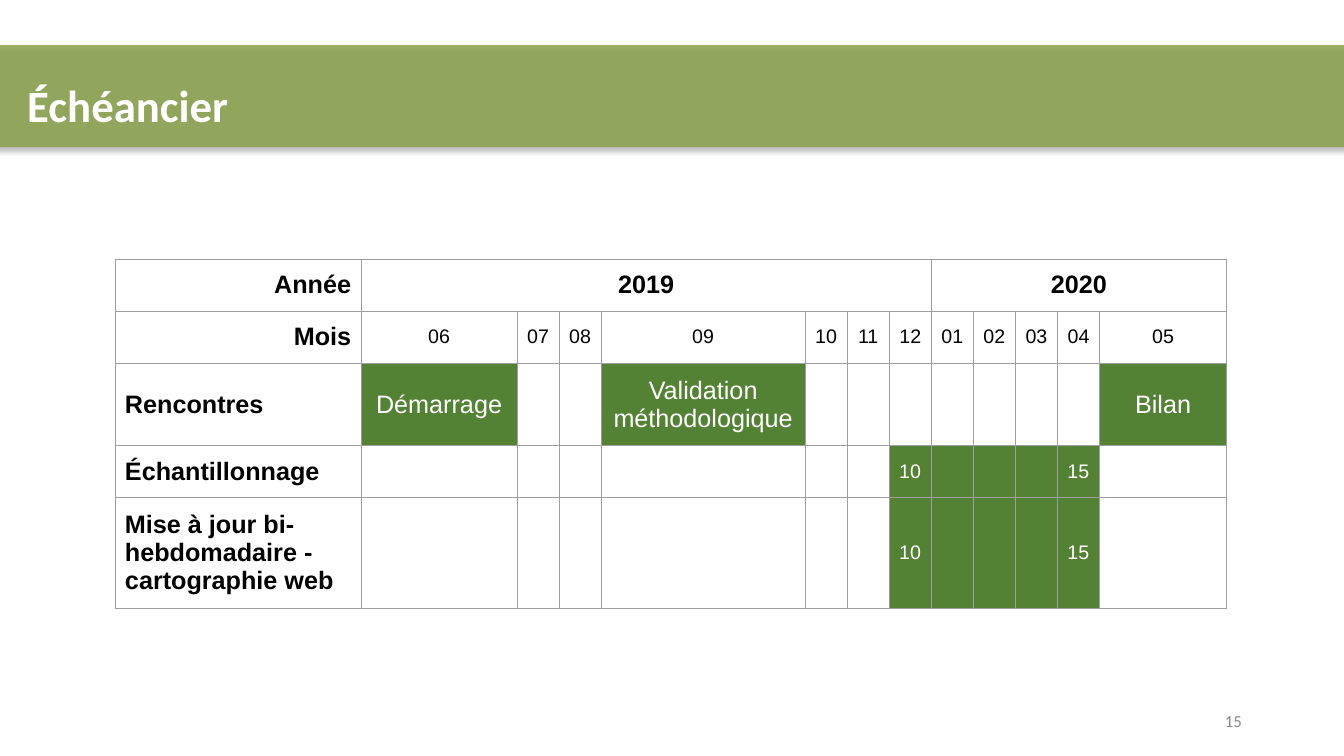
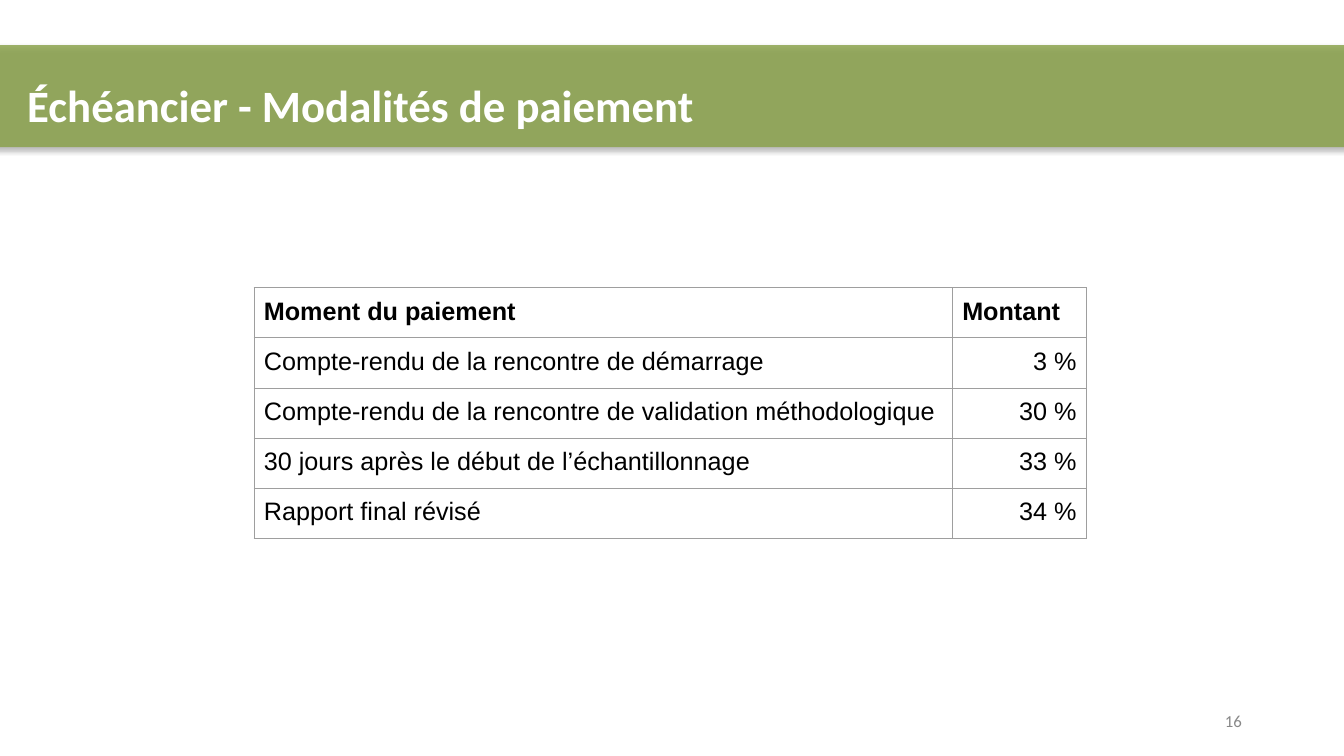
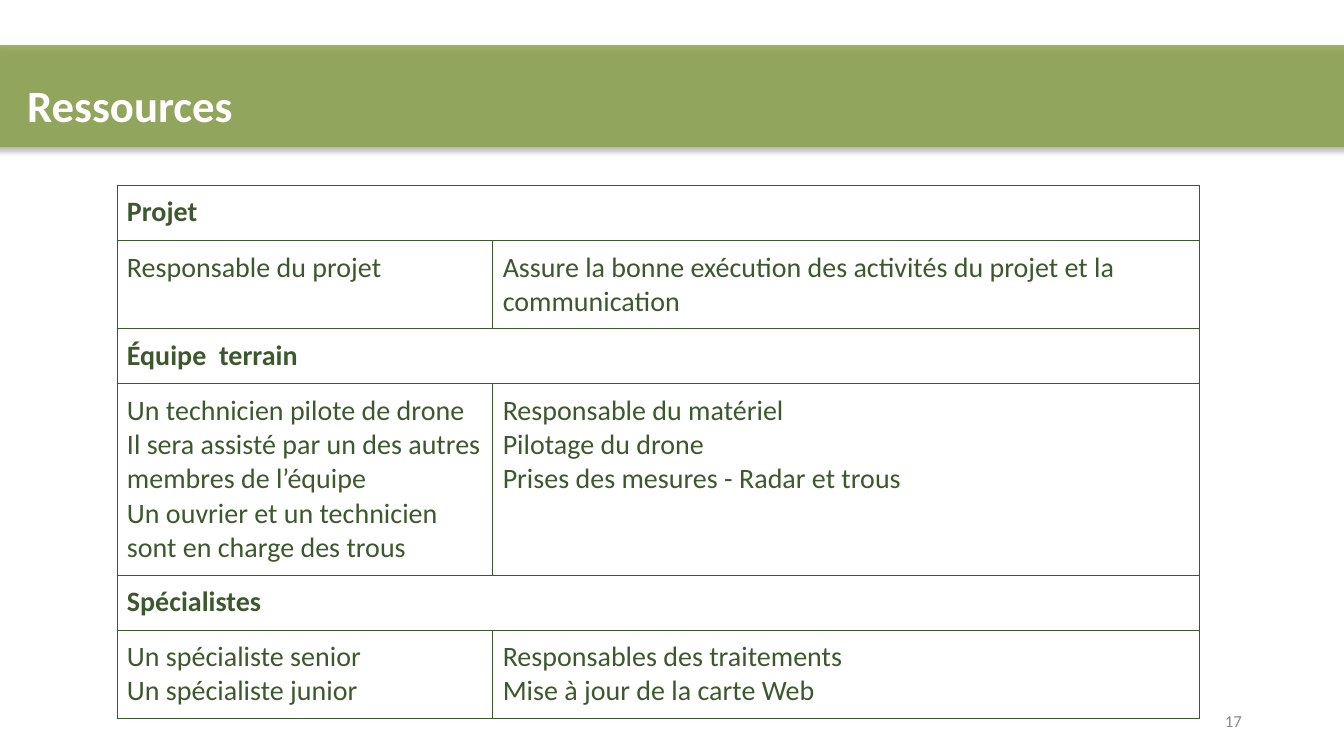
from lxml.etree import SubElement
from pptx import Presentation
from pptx.dml.color import RGBColor
from pptx.enum.shapes import MSO_SHAPE
from pptx.enum.text import MSO_ANCHOR, MSO_AUTO_SIZE, PP_ALIGN
from pptx.oxml import parse_xml
from pptx.oxml.ns import nsdecls, qn
from pptx.util import Cm, Pt

BAND, BAR, PINE = "87A045", "548235", "3C582D"
WHITE, BLACK, GRID, GREY = "FFFFFF", "000000", "9E9E9E", "888888"
LEFT, CENTER, RIGHT = PP_ALIGN.LEFT, PP_ALIGN.CENTER, PP_ALIGN.RIGHT
TOP, MIDDLE = MSO_ANCHOR.TOP, MSO_ANCHOR.MIDDLE


def rgb(code):
    return RGBColor.from_string(code)


def style(para, font, size, colour, bold=False, align=LEFT):
    para.alignment = align
    para.font.name = font
    para.font.size = Pt(size)
    para.font.color.rgb = rgb(colour)
    para.font.bold = bold


# Shared parts: green band, title and page number
def add_band(page, left, top, width, height):
    band = page.shapes.add_shape(MSO_SHAPE.ROUNDED_RECTANGLE,
                                 Cm(left), Cm(top), Cm(width), Cm(height))
    band.fill.solid()
    band.fill.fore_color.rgb = rgb(BAND)
    band.line.fill.background()
    band.shadow.inherit = False
    properties = band.element.spPr
    SubElement(properties.find(".//" + qn("a:srgbClr")), qn("a:alpha"), val="80000")
    properties.find(qn("a:effectLst")).append(parse_xml(
        f'<a:outerShdw {nsdecls("a")} blurRad="{Pt(3.5)}" dist="{Pt(2.2)}" '
        f'dir="5400000" rotWithShape="0"><a:srgbClr val="{BLACK}">'
        '<a:alpha val="32000"/></a:srgbClr></a:outerShdw>'))
    page.shapes.element.insert(2, band.element)  # behind the title


def add_page(deck, heading, number):
    page = deck.slides.add_slide(deck.slide_layouts[5])
    add_band(page, -0.48, 1.14, 34.8, 2.57)

    title = page.shapes.title
    title.left, title.top, title.width, title.height = Cm(0.43), Cm(1.7), Cm(33.43), Cm(1.5)
    title.text = heading
    title.text_frame.auto_size = MSO_AUTO_SIZE.NONE
    title.text_frame.vertical_anchor = TOP
    para = title.text_frame.paragraphs[0]
    para.line_spacing = 1.09
    style(para, "Calibri", 32, WHITE, True)

    box = page.shapes.add_textbox(Cm(23.93), Cm(17.65), Cm(7.62), Cm(1.02))
    box.text_frame.word_wrap = True
    box.text_frame.vertical_anchor = MIDDLE
    box.text_frame.text = str(number)
    style(box.text_frame.paragraphs[0], "Calibri", 12, GREY, align=RIGHT)
    return page


# Tables
def add_border(cell, colour):
    properties = cell._tc.get_or_add_tcPr()
    for side in ("lnL", "lnR", "lnT", "lnB"):
        properties.append(parse_xml(
            f'<a:{side} {nsdecls("a")} w="{Pt(0.75)}"><a:solidFill>'
            f'<a:srgbClr val="{colour}"/></a:solidFill></a:{side}>'))


def add_grid(page, left, top, columns, rows, border):
    table = page.shapes.add_table(len(rows), len(columns), Cm(left), Cm(top),
                                  Cm(sum(columns)), Cm(sum(rows))).table
    table.first_row = table.horz_banding = False
    for column, width in zip(table.columns, columns):
        column.width = Cm(width)
    for row, height in zip(table.rows, rows):
        row.height = Cm(height)
    for cell in table.iter_cells():
        add_border(cell, border)
        cell.fill.background()
    return table


def write(cell, text, anchor=TOP, font="Arial", size=18, colour=BLACK,
          bold=False, align=LEFT):
    cell.margin_left = cell.margin_right = Cm(0.25)
    cell.margin_top = cell.margin_bottom = Cm(0.25)
    cell.vertical_anchor = anchor
    cell.text = text
    for para in cell.text_frame.paragraphs:
        style(para, font, size, colour, bold, align)


def shade(cell):
    cell.fill.solid()
    cell.fill.fore_color.rgb = rgb(BAR)


def add_schedule(page, left, top):
    narrow = 1.06
    columns = [6.2, 3.93, narrow, narrow, 5.14, *[narrow] * 7, 3.2]
    table = add_grid(page, left, top, columns, [1.31, 1.31, 2.08, 1.31, 2.65], GRID)

    # Row labels
    labels = ["Année", "Mois", "Rencontres", "Échantillonnage",
              "Mise à jour bi-hebdomadaire - cartographie web"]
    for row, label in enumerate(labels):
        write(table.cell(row, 0), label, MIDDLE, bold=True,
              align=RIGHT if row < 2 else LEFT)

    # Years, then months from June to May
    for year, first, last in (("2019", 1, 7), ("2020", 8, 12)):
        table.cell(0, first).merge(table.cell(0, last))
        write(table.cell(0, first), year, MIDDLE, bold=True, align=CENTER)
    for column in range(1, 13):
        month = (column + 4) % 12 + 1
        write(table.cell(1, column), f"{month:02}", MIDDLE, size=14, align=CENTER)

    # Meetings
    for column, meeting in ((1, "Démarrage"), (4, "Validation méthodologique"), (12, "Bilan")):
        shade(table.cell(2, column))
        write(table.cell(2, column), meeting, MIDDLE, colour=WHITE, align=CENTER)

    # Field periods, with their first and last day
    for row in (3, 4):
        for column in range(7, 12):
            shade(table.cell(row, column))
        for column, day in ((7, "10"), (11, "15")):
            write(table.cell(row, column), day, MIDDLE, size=14, colour=WHITE)


def add_payments(page, left, top):
    payments = [
        ("Moment du paiement", "Montant"),
        ("Compte-rendu de la rencontre de démarrage", "3 %"),
        ("Compte-rendu de la rencontre de validation méthodologique", "30 %"),
        ("30 jours après le début de l’échantillonnage", "33 %"),
        ("Rapport final révisé", "34 %"),
    ]
    table = add_grid(page, left, top, [17.6, 3.38], [1.22] * len(payments), GRID)
    for row, (moment, amount) in enumerate(payments):
        header = row == 0
        write(table.cell(row, 0), moment, bold=header)
        write(table.cell(row, 1), amount, bold=header, align=LEFT if header else RIGHT)


def add_resources(page, left, top):
    teams = [
        ("Projet", 2.22, "Responsable du projet",
         "Assure la bonne exécution des activités du projet et la communication"),
        ("Équipe  terrain", 4.82,
         "Un technicien pilote de drone\n"
         "Il sera assisté par un des autres membres de l’équipe\n"
         "Un ouvrier et un technicien sont en charge des trous",
         "Responsable du matériel\nPilotage du drone\nPrises des mesures - Radar et trous"),
        ("Spécialistes", 2.22, "Un spécialiste senior\nUn spécialiste junior",
         "Responsables des traitements\nMise à jour de la carte Web"),
    ]
    heights = [height for team in teams for height in (1.39, team[1])]
    table = add_grid(page, left, top, [9.47, 17.81], heights, PINE)
    look = {"font": "Calibri", "size": 20, "colour": PINE}
    for index, (team, _, people, tasks) in enumerate(teams):
        row = 2 * index
        table.cell(row, 0).merge(table.cell(row, 1))
        write(table.cell(row, 0), team, bold=True, **look)
        write(table.cell(row + 1, 0), people, **look)
        write(table.cell(row + 1, 1), tasks, **look)


def main():
    deck = Presentation()
    deck.slide_width, deck.slide_height = Cm(33.87), Cm(19.05)
    add_schedule(add_page(deck, "Échéancier", 15), 2.9, 6.53)
    add_payments(add_page(deck, "Échéancier - Modalités de paiement", 16), 6.4, 7.25)
    add_resources(add_page(deck, "Ressources", 17), 2.95, 4.67)
    deck.save("out.pptx")


if __name__ == "__main__":
    main()
